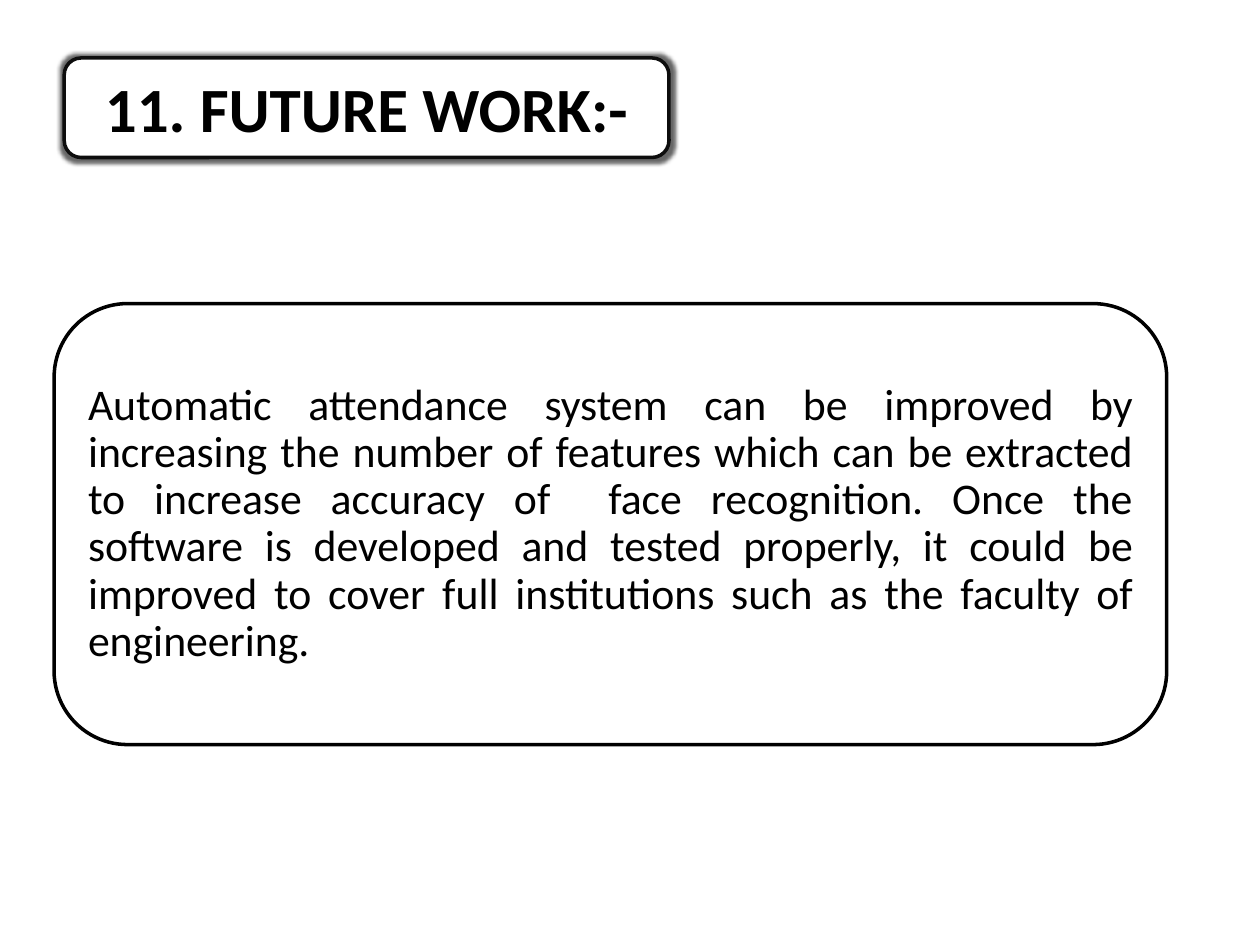
from lxml import etree
from pptx import Presentation
from pptx.dml.color import RGBColor
from pptx.enum.shapes import MSO_SHAPE
from pptx.enum.text import MSO_ANCHOR, PP_ALIGN
from pptx.oxml.ns import qn
from pptx.util import Inches, Pt

ROUNDED = MSO_SHAPE.ROUNDED_RECTANGLE
MIDDLE = MSO_ANCHOR.MIDDLE
CENTER, JUSTIFY = PP_ALIGN.CENTER, PP_ALIGN.JUSTIFY

FONT = "Calibri"
COLORS = {"paper": "FFFFFF", "ink": "000000", "title_line": "0D0D0D"}

TITLE = "11. FUTURE WORK:-"
BODY = (
    "Automatic attendance system can be improved by increasing the number of "
    "features which can be extracted to increase accuracy of  face recognition. "
    "Once the software is developed and tested properly, it could be improved to "
    "cover full institutions such as the faculty of engineering."
)


def color(name):
    return RGBColor.from_string(COLORS[name])


def add_panel(slide, left, top, width, height, line, corner=0.1667):
    """Add a white rounded rectangle with an outline."""
    sp = slide.shapes.add_shape(
        ROUNDED, Inches(left), Inches(top), Inches(width), Inches(height))
    sp.adjustments[0] = corner
    sp.shadow.inherit = False
    sp.fill.solid()
    sp.fill.fore_color.rgb = color("paper")
    sp.line.color.rgb = color(line)
    sp.line.width = Pt(2)
    return sp


def add_glow(sp, radius, name, opacity):
    """Surround a shape with a soft, partly transparent glow."""
    effects = sp._element.spPr.find(qn("a:effectLst"))
    glow = etree.SubElement(effects, qn("a:glow"), rad=str(Pt(radius)))
    clr = etree.SubElement(glow, qn("a:srgbClr"), val=COLORS[name])
    etree.SubElement(clr, qn("a:alpha"), val=str(opacity * 1000))


def set_text(sp, text, size, align, bold=False):
    """Write one vertically centred paragraph and return it."""
    tf = sp.text_frame
    tf.word_wrap = True
    tf.vertical_anchor = MIDDLE
    p = tf.paragraphs[0]
    p.text = text
    p.alignment = align
    p.font.name = FONT
    p.font.size = Pt(size)
    p.font.bold = bold
    p.font.color.rgb = color("ink")
    return p


def add_body(slide, left, top, width, height, text):
    """Add the justified body text."""
    sp = slide.shapes.add_textbox(
        Inches(left), Inches(top), Inches(width), Inches(height))
    p = set_text(sp, text, 25, JUSTIFY)
    p.line_spacing = 0.9
    tf = sp.text_frame
    tf.margin_left = tf.margin_right = Inches(0.1)
    tf.margin_top = tf.margin_bottom = Inches(0.1)


def main():
    prs = Presentation()
    prs.slide_width, prs.slide_height = Inches(10), Inches(7.5)
    slide = prs.slides.add_slide(prs.slide_layouts[6])

    # Body panel, with its text inset evenly on all sides
    left, top, width, height, inset = 0.43, 2.41, 8.83, 3.5, 0.17
    add_panel(slide, left, top, width, height, "ink")
    add_body(slide, left + inset, top + inset,
             width - 2 * inset, height - 2 * inset, BODY)

    # Glowing title
    title = add_panel(slide, 0.51, 0.46, 4.8, 0.79, "title_line", corner=0.17)
    add_glow(title, 5, "ink", 60)
    set_text(title, TITLE, 36, CENTER, bold=True)

    prs.save("out.pptx")


if __name__ == "__main__":
    main()
